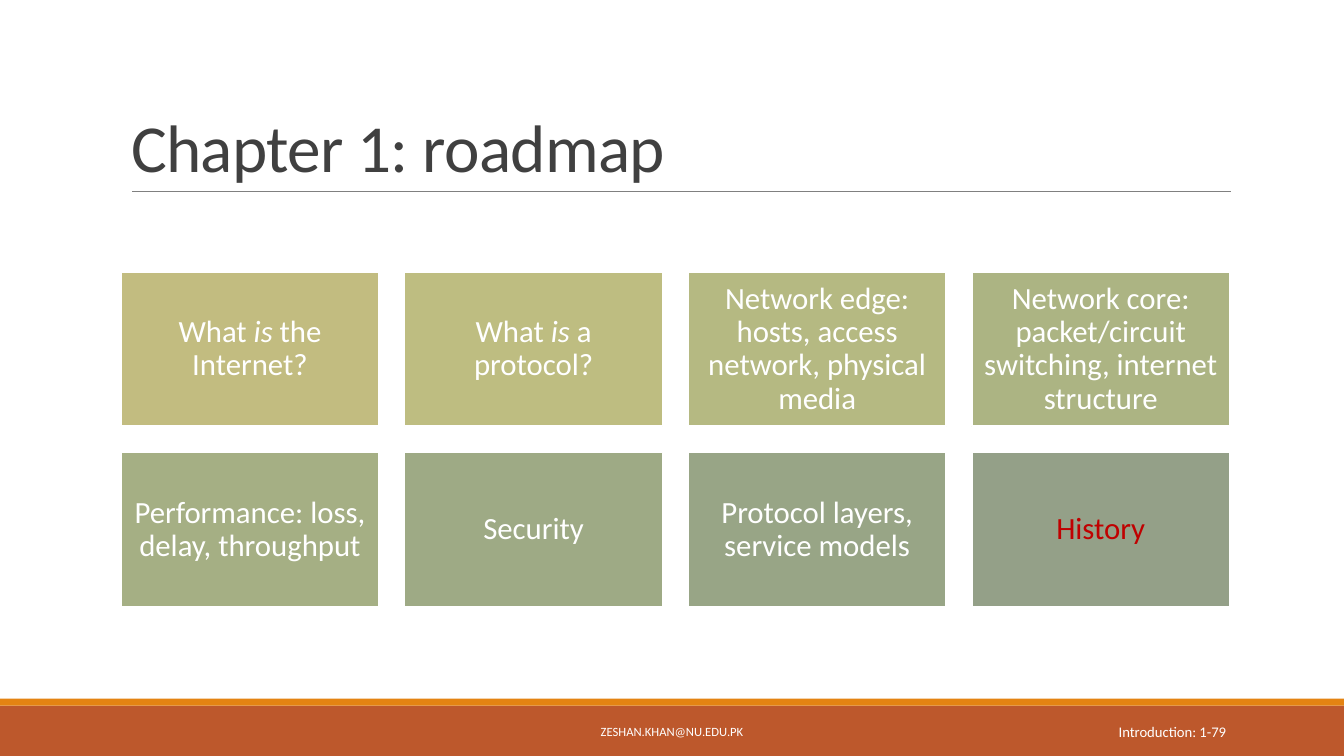
from lxml.etree import SubElement
from pptx import Presentation
from pptx.dml.color import RGBColor as RGB
from pptx.enum.shapes import MSO_CONNECTOR as CONN, MSO_SHAPE as SHAPE
from pptx.enum.text import MSO_ANCHOR as ANCHOR, MSO_AUTO_SIZE as FIT, PP_ALIGN as ALIGN
from pptx.oxml.ns import qn
from pptx.util import Inches, Pt

COLORS = {
    "white": "FFFFFF", "title": "404040", "rule": "808080",
    "band": "BD582C", "stripe": "E48312", "current": "C00000",
}
TOPICS = [
    ("C2BC80", [("What ", False), ("is", True), (" the Internet?", False)]),
    ("BEBD81", [("What", False), (" is ", True), ("a protocol?", False)]),
    ("B5B982", [("Network edge: hosts, access network, physical media", False)]),
    ("ACB483", [("Network core: packet/circuit switching, internet structure", False)]),
    ("A5AF84", [("Performance: loss, delay, throughput", False)]),
    ("9EAA85", [("Security", False)]),
    ("98A586", [("Protocol layers, service models", False)]),
    ("94A088", [("History", False)]),
]


class Deck:
    """Slide builder whose lengths are percentages of the slide's width and height."""

    font = "Calibri"
    columns = 4

    def __init__(self):
        self.prs = Presentation()
        self.prs.slide_width, self.prs.slide_height = Inches(13.33), Inches(7.5)
        self.s = self.prs.slides.add_slide(self.prs.slide_layouts[5])

    def place(self, x, y, w, h):
        width, height = self.prs.slide_width, self.prs.slide_height
        return [int(share * side / 100)
                for share, side in zip((x, y, w, h), (width, height, width, height))]

    def add_text(self, tf, runs, size, color, align, anchor, spacing=1.0):
        tf.word_wrap, tf.auto_size, tf.vertical_anchor = True, FIT.NONE, anchor
        p = tf.paragraphs[0]
        p.alignment, p.line_spacing = align, spacing
        for text, italic in runs:
            r = p.add_run()
            r.text = text
            r.font.name, r.font.size, r.font.italic = self.font, Pt(size), italic
            r.font.color.rgb = RGB.from_string(COLORS[color])
        return p

    def title(self, text, box):
        sp = self.s.shapes.title
        sp.left, sp.top, sp.width, sp.height = self.place(*box)
        p = self.add_text(sp.text_frame, [(text, False)], 48, "title",
                          ALIGN.LEFT, ANCHOR.BOTTOM, 0.85)
        p.runs[0].font._element.set("spc", "-50")

    def rect(self, box, fill, outline=None):
        sp = self.s.shapes.add_shape(SHAPE.RECTANGLE, *self.place(*box))
        sp.shadow.inherit = False
        sp.fill.solid()
        sp.fill.fore_color.rgb = RGB.from_string(fill)
        if outline:
            sp.line.color.rgb = RGB.from_string(outline)
            sp.line.width = Pt(1.25)
        else:
            sp.line.fill.background()
        return sp

    def card(self, index, fill, runs, color):
        row, col = divmod(index, self.columns)
        box = (9 + 21.1 * col, 36 + 23.87 * row, 19.2, 20.4)
        tf = self.rect(box, fill, COLORS["white"]).text_frame
        tf.margin_left = tf.margin_right = tf.margin_top = tf.margin_bottom = Inches(0.09)
        self.add_text(tf, runs, 22, color, ALIGN.CENTER, ANCHOR.MIDDLE, 0.9)

    def rule(self, x1, x2, y):
        left, top, right, bottom = self.place(x1, y, x2, y)
        line = self.s.shapes.add_connector(CONN.STRAIGHT, left, top, right, bottom)
        line.line.color.rgb = RGB.from_string(COLORS["rule"])
        line.line.width = Pt(0.5)
        SubElement(line._element.spPr, qn("a:effectLst"))

    def label(self, text, box, size, align):
        sp = self.s.shapes.add_textbox(*self.place(*box))
        self.add_text(sp.text_frame, [(text, False)], size, "white", align, ANCHOR.MIDDLE)


def main():
    deck = Deck()
    deck.rect((0, 93.33, 100, 6.67), COLORS["band"])
    deck.rect((0, 92.4, 100, 0.93), COLORS["stripe"])
    deck.rule(9.83, 91.58, 25.33)
    deck.title("Chapter 1: roadmap", (9, 4.13, 82.5, 21.2))
    for i, (fill, runs) in enumerate(TOPICS):
        deck.card(i, fill, runs, "current" if i == len(TOPICS) - 1 else "white")
    deck.label("ZESHAN.KHAN@NU.EDU.PK", (30.23, 94.13, 39.53, 5.33), 9, ALIGN.CENTER)
    deck.label("Introduction: 1-79", (81.25, 94.13, 10.73, 5.33), 10.5, ALIGN.RIGHT)
    deck.prs.save("out.pptx")


if __name__ == "__main__":
    main()
